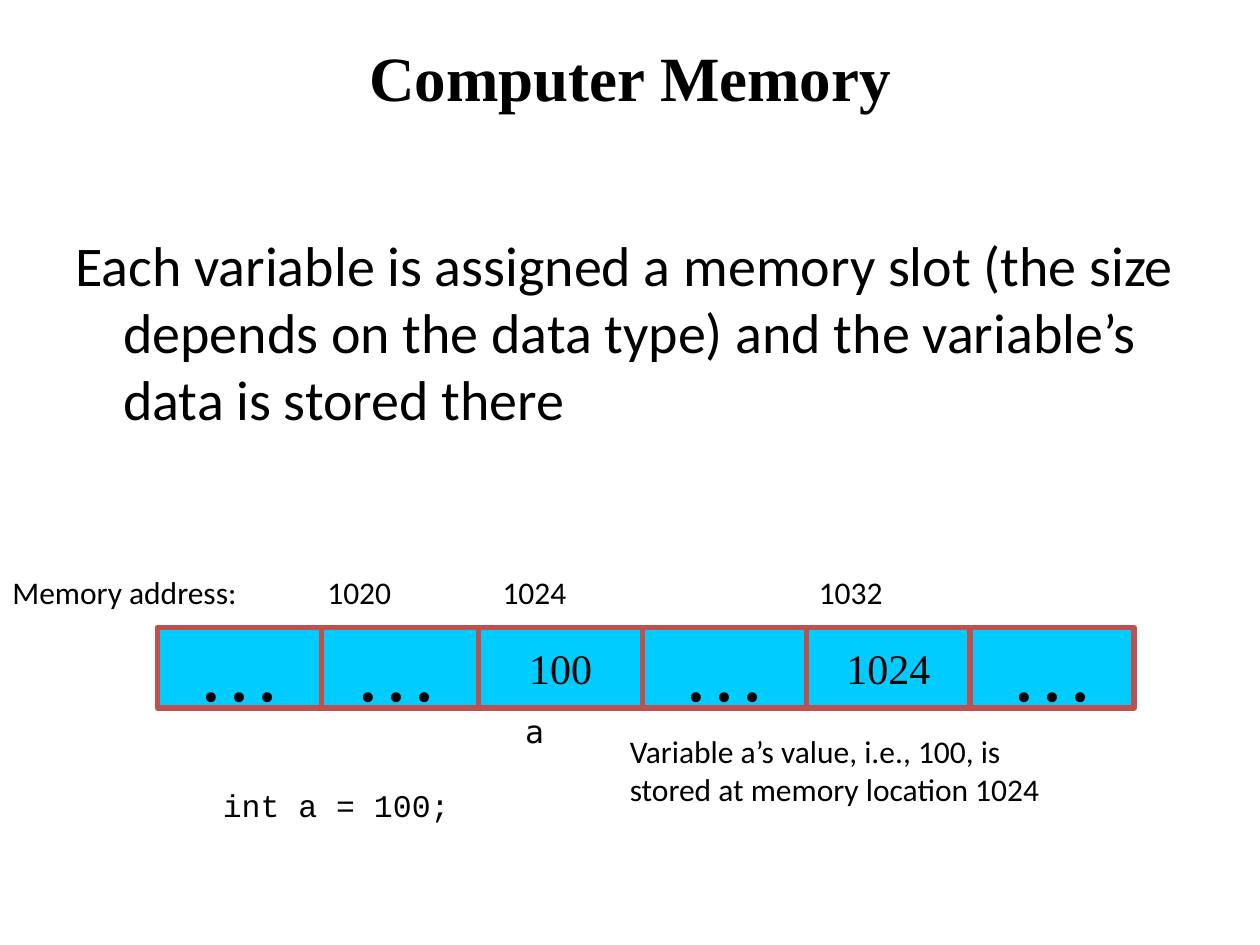
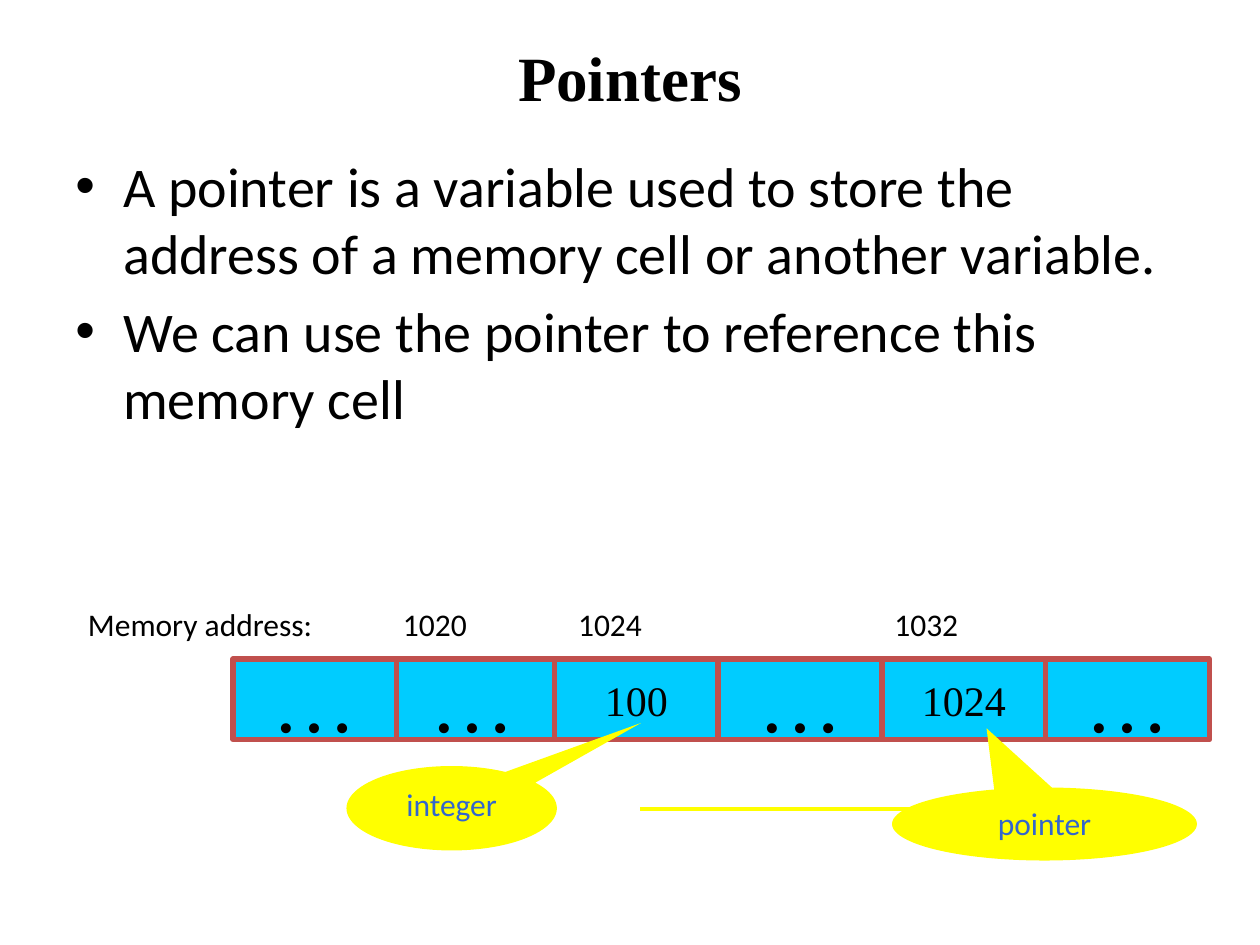
"""Build two slides on computer memory and pointers."""
from dataclasses import dataclass
from typing import Optional

from lxml import etree
from pptx import Presentation
from pptx import util as u
from pptx.dml.color import RGBColor
from pptx.enum import shapes, text
from pptx.oxml.ns import qn

COLOURS = {"ink": "000000", "slot": "00CCFF", "border": "C0504D",
           "callout": "FFFF00", "callout_text": "3366CC"}
SANS, SERIF, CODE, MONO = "Calibri", "Times New Roman", "Courier New", "DejaVu Sans Mono"
SLOT_WIDTH, SLOT_HEIGHT = 1.3, 0.64
FIRST_SLOT_OFFSET = -1.25
SLOT_VALUES = ("…", "…", "100", "…", "1024", "…")
HANGING = 0.38


@dataclass(frozen=True)
class Label:
    """A short caption with its place and font."""
    words: str
    left: float
    top: float
    width: float
    height: float = 0.43
    font: str = SANS


@dataclass(frozen=True)
class Callout:
    """An elliptical balloon whose tail is set by two adjustments."""
    words: str
    left: float
    top: float
    width: float
    height: float
    tail: tuple[float, float]


ADDRESSES = (Label("Memory address:", -2.5, -0.48, 2.5), Label("1020", 0, -0.48, 1.06),
             Label("1024", 1.39, -0.48, 1.06), Label("1032", 3.9, -0.48, 0.82))
NOTES = (Label("Variable a’s value, i.e., 100, is\nstored at memory location 1024",
               4.9, 5.76, 4.36, 0.83),
         Label("int a = 100;", 1.67, 6.19, 2.2, font=CODE),
         Label("a", 4.07, 5.6, 0.31, font=MONO))
CALLOUTS = (Callout("integer", 2.75, 6.08, 1.67, 0.67, (0.9, -1.01)),
            Callout("pointer", 7.08, 6.25, 2.42, 0.58, (-0.19, -1.31)))


def colour(name: str) -> RGBColor:
    """Return a named colour."""
    return RGBColor.from_string(COLOURS[name])


def area(left: float, top: float, width: float, height: float) -> tuple:
    """Convert a place and size to lengths."""
    return tuple(u.Inches(value) for value in (left, top, width, height))


def write(frame, words: str, *, size: float = 18, font: str = SANS, ink: str = "ink",
          bold: bool = False, align=text.PP_ALIGN.LEFT, anchor=text.MSO_ANCHOR.TOP,
          wrap: bool = True, hanging: float = 0, bullet: Optional[str] = None,
          gap: float = 0) -> None:
    """Fill a text frame, one paragraph for each line."""
    frame.word_wrap = wrap
    frame.vertical_anchor = anchor
    for index, line in enumerate(words.split("\n")):
        para = frame.add_paragraph() if index else frame.paragraphs[0]
        para.alignment = align
        if index:
            para.space_before = u.Pt(gap)
        if hanging:
            properties = para._p.get_or_add_pPr()
            properties.set("marL", str(u.Inches(hanging)))
            properties.set("indent", str(-u.Inches(hanging)))
            if bullet:
                etree.SubElement(properties, qn("a:buFont")).set("typeface", "Arial")
                etree.SubElement(properties, qn("a:buChar")).set("char", bullet)
        span = para.add_run()
        span.text = line
        span.font.size = u.Pt(size)
        span.font.name = font
        span.font.bold = bold
        span.font.color.rgb = colour(ink)


def add_page(deck, title: str):
    """Add a slide with the shared title style."""
    page = deck.slides.add_slide(deck.slide_layouts[5])
    box = page.shapes.title
    box.left, box.top, box.width, box.height = area(0.5, 0.3, 9, 0.61)
    write(box.text_frame, title, size=36, font=SERIF, bold=True,
          align=text.PP_ALIGN.CENTER, anchor=text.MSO_ANCHOR.MIDDLE)
    return page


def add_body(page, words: str, top: float, bullet: Optional[str] = None) -> None:
    """Add the main text with a hanging indent."""
    box = page.shapes.add_textbox(*area(0.5, top, 9, 6.7 - top))
    write(box.text_frame, words, size=32, hanging=HANGING, bullet=bullet, gap=6.4)


def add_label(page, label: Label, left: float = 0, top: float = 0) -> None:
    """Add a caption, shifted by an origin."""
    box = page.shapes.add_textbox(
        *area(left + label.left, top + label.top, label.width, label.height))
    write(box.text_frame, label.words, font=label.font)


def add_filled(page, kind, place: tuple, fill: str):
    """Add a shape with a flat fill and no line."""
    shape = page.shapes.add_shape(kind, *place)
    shape.shadow.inherit = False
    shape.fill.solid()
    shape.fill.fore_color.rgb = colour(fill)
    shape.line.fill.background()
    return shape


def add_memory(page, left: float, top: float) -> None:
    """Draw the memory slots and addresses from the second slot's corner."""
    for index, value in reversed(list(enumerate(SLOT_VALUES))):
        offset = SLOT_WIDTH * (index - 1) if index else FIRST_SLOT_OFFSET
        slot = add_filled(page, shapes.MSO_SHAPE.RECTANGLE,
                          area(left + offset, top, SLOT_WIDTH, SLOT_HEIGHT), "slot")
        slot.line.color.rgb = colour("border")
        slot.line.width = u.Pt(3)
        write(slot.text_frame, value, size=48 if value == "…" else 24, font=SERIF,
              align=text.PP_ALIGN.CENTER, anchor=text.MSO_ANCHOR.MIDDLE, wrap=False)
    for address in ADDRESSES:
        add_label(page, address, left, top)


def add_link(page, start: float, end: float, top: float) -> None:
    """Draw a level line towards the pointer balloon."""
    link = page.shapes.add_connector(shapes.MSO_CONNECTOR.STRAIGHT, u.Inches(start),
                                     u.Inches(top), u.Inches(end), u.Inches(top))
    link.line.color.rgb = colour("callout")
    link.line.width = u.Pt(2.5)
    etree.SubElement(link._element.spPr, qn("a:effectLst"))


def add_callout(page, callout: Callout) -> None:
    """Draw a balloon with its caption."""
    balloon = add_filled(page, shapes.MSO_SHAPE.OVAL_CALLOUT,
                         area(callout.left, callout.top, callout.width, callout.height),
                         "callout")
    for index, value in enumerate(callout.tail):
        balloon.adjustments[index] = value
    write(balloon.text_frame, callout.words, ink="callout_text",
          align=text.PP_ALIGN.CENTER)


def build_memory_page(deck) -> None:
    """Show how a variable sits in memory."""
    page = add_page(deck, "Computer Memory")
    add_body(page, "Each variable is assigned a memory slot (the size depends on the "
             "data type) and the variable’s data is stored there", 1.78)
    add_memory(page, 2.5, 4.98)
    for note in NOTES:
        add_label(page, note)


def build_pointers_page(deck) -> None:
    """Show how a pointer holds an address."""
    page = add_page(deck, "Pointers")
    add_body(page, "A pointer is a variable used to store the address of a memory cell "
             "or another variable.\nWe can use the pointer to reference this memory cell",
             1.15, bullet="•")
    add_memory(page, 3.1, 5.23)
    add_link(page, 5.08, 7.67, 6.42)
    for callout in CALLOUTS:
        add_callout(page, callout)


def main() -> None:
    """Build and save the deck."""
    deck = Presentation()
    deck.slide_width, deck.slide_height = u.Inches(10), u.Inches(7.5)
    build_memory_page(deck)
    build_pointers_page(deck)
    deck.save("out.pptx")


if __name__ == "__main__":
    main()
